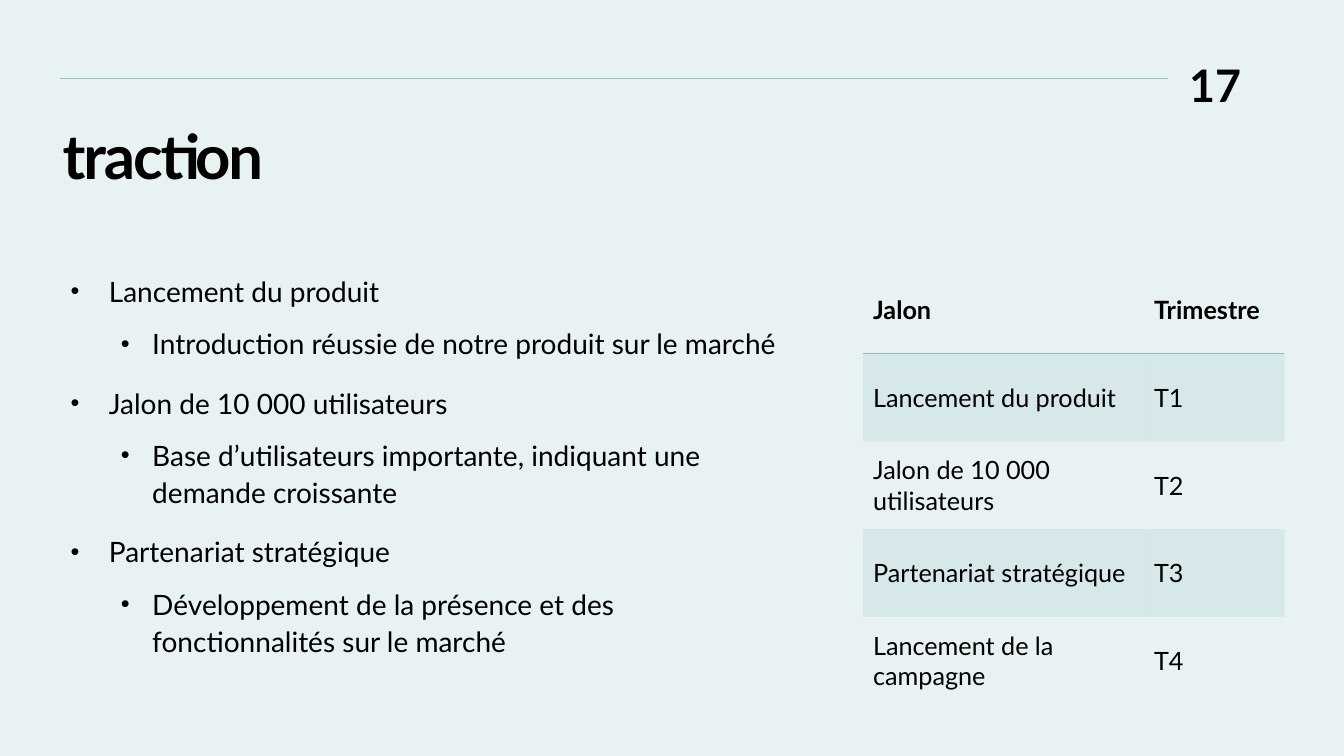
from lxml import etree
from pptx import Presentation
from pptx.dml.color import RGBColor
from pptx.enum.shapes import MSO_CONNECTOR
from pptx.enum.text import MSO_ANCHOR, MSO_AUTO_SIZE, PP_ALIGN
from pptx.oxml import parse_xml
from pptx.oxml.ns import nsdecls, qn
from pptx.util import Inches, Pt

TOP, MIDDLE = MSO_ANCHOR.TOP, MSO_ANCHOR.MIDDLE
LEFT, RIGHT = PP_ALIGN.LEFT, PP_ALIGN.RIGHT
NO_AUTOFIT = MSO_AUTO_SIZE.NONE
STRAIGHT = MSO_CONNECTOR.STRAIGHT

PALE = RGBColor(0xE8, 0xF2, 0xF3)
TEAL = RGBColor(0x8E, 0xC0, 0xC1)
BLACK = RGBColor(0, 0, 0)
FONT = "Lato"
NO_STYLE = "{2D5ABB26-0587-4C30-8999-92F81FD0307C}"

POINTS = [
    ("Lancement du produit",
     "Introduction réussie de notre produit sur le marché"),
    ("Jalon de 10 000 utilisateurs",
     "Base d’utilisateurs importante, indiquant une demande croissante"),
    ("Partenariat stratégique",
     "Développement de la présence et des fonctionnalités sur le marché"),
]
MILESTONES = [
    ("Jalon", "Trimestre"),
    ("Lancement du produit", "T1"),
    ("Jalon de 10 000 utilisateurs", "T2"),
    ("Partenariat stratégique", "T3"),
    ("Lancement de la campagne", "T4"),
]
# Left margin, indent and space before for each bullet level
LEVELS = [(0.38, -0.38, 10), (0.81, -0.31, 5)]


def format_runs(p, size, bold=False):
    for r in p.runs:
        r.font.name = FONT
        r.font.size = Pt(size)
        r.font.bold = bold
        r.font.color.rgb = BLACK


def set_frame(tf, left=0, top=0, right=0, bottom=0):
    """Wrap the text from the top of its box, with insets in inches."""
    tf.word_wrap = True
    tf.auto_size = NO_AUTOFIT
    tf.vertical_anchor = TOP
    tf.margin_left, tf.margin_top = Inches(left), Inches(top)
    tf.margin_right, tf.margin_bottom = Inches(right), Inches(bottom)


def add_textbox(s, x, y, w, h):
    return s.shapes.add_textbox(Inches(x), Inches(y), Inches(w), Inches(h)).text_frame


def add_header(s, x, y, w, number):
    """Draw the rule, with the page number at its right end."""
    line = s.shapes.add_connector(STRAIGHT, Inches(x), Inches(y), Inches(x + w), Inches(y))
    line.line.color.rgb = TEAL
    line.line.width = Pt(0.75)
    etree.SubElement(line._element.spPr, qn("a:effectLst"))

    tf = add_textbox(s, x + w - 0.27, y - 0.21, 1, 0.53)
    set_frame(tf)
    tf.text = number
    p = tf.paragraphs[0]
    p.alignment = RIGHT
    format_runs(p, 32, bold=True)


def set_title(s, x, y, w, h, text):
    title = s.shapes.title
    title.left, title.top = Inches(x), Inches(y)
    title.width, title.height = Inches(w), Inches(h)
    tf = title.text_frame
    tf.text = text
    set_frame(tf, 0, 0.05, 0.1, 0.05)
    p = tf.paragraphs[0]
    p.alignment = LEFT
    p.line_spacing = 0.9
    format_runs(p, 44, bold=True)
    p.runs[0].font._element.set("spc", "-150")


def add_bullet(p, margin, indent):
    pPr = p._p.get_or_add_pPr()
    pPr.set("marL", str(Inches(margin)))
    pPr.set("indent", str(Inches(indent)))
    color = etree.SubElement(pPr, qn("a:buClr"))
    etree.SubElement(color, qn("a:srgbClr"), val=str(BLACK))
    etree.SubElement(pPr, qn("a:buSzPct"), val="90000")
    etree.SubElement(pPr, qn("a:buFont"), typeface="Arial")
    etree.SubElement(pPr, qn("a:buChar"), char="•")


def add_points(s, x, y, w, h, points):
    tf = add_textbox(s, x, y, w, h)
    set_frame(tf, 0.05, 0.05, 0.1, 0.05)
    tf.text = "\n".join(text for pair in points for text in pair)
    for i, p in enumerate(tf.paragraphs):
        p.level = i % 2
        margin, indent, before = LEVELS[p.level]
        p.line_spacing = 1.1
        p.space_before, p.space_after = Pt(before), Pt(6)
        add_bullet(p, margin, indent)
        format_runs(p, 20)


def fill_band(cell):
    cell.fill.solid()
    cell.fill.fore_color.rgb = TEAL
    color = cell._tc.tcPr.find(".//" + qn("a:srgbClr"))
    etree.SubElement(color, qn("a:alpha"), val="20000")


def add_bottom_border(cell):
    border = parse_xml(
        f'<a:lnB {nsdecls("a")} w="{Pt(1)}"><a:solidFill>'
        f'<a:srgbClr val="{TEAL}"/></a:solidFill></a:lnB>')
    cell._tc.get_or_add_tcPr().insert(0, border)


def add_milestones(s, x, y, w, h, rows):
    frame = s.shapes.add_table(len(rows), 2, Inches(x), Inches(y), Inches(w), Inches(h))
    table = frame.table
    table.horz_banding = False
    table._tbl.tblPr.find(qn("a:tableStyleId")).text = NO_STYLE
    for column, share in zip(table.columns, (2 / 3, 1 / 3)):
        column.width = Inches(w * share)
    for i, row in enumerate(rows):
        table.rows[i].height = Inches(h / len(rows))
        for j, text in enumerate(row):
            cell = table.cell(i, j)
            cell.text = text
            cell.vertical_anchor = MIDDLE
            format_runs(cell.text_frame.paragraphs[0], 18, bold=i == 0)
            if i % 2:
                fill_band(cell)
            else:
                cell.fill.background()
            if i == 0:
                add_bottom_border(cell)


def main():
    prs = Presentation()
    prs.slide_width, prs.slide_height = Inches(13.33), Inches(7.5)
    s = prs.slides.add_slide(prs.slide_layouts[5])
    s.background.fill.solid()
    s.background.fill.fore_color.rgb = PALE

    add_header(s, 0.6, 0.78, 10.98, "17")
    set_title(s, 0.62, 1.2, 12.13, 1.32, "traction")
    add_points(s, 0.65, 2.64, 7.31, 4.58, POINTS)
    add_milestones(s, 8.56, 2.64, 4.18, 4.35, MILESTONES)
    prs.save("out.pptx")


if __name__ == "__main__":
    main()
